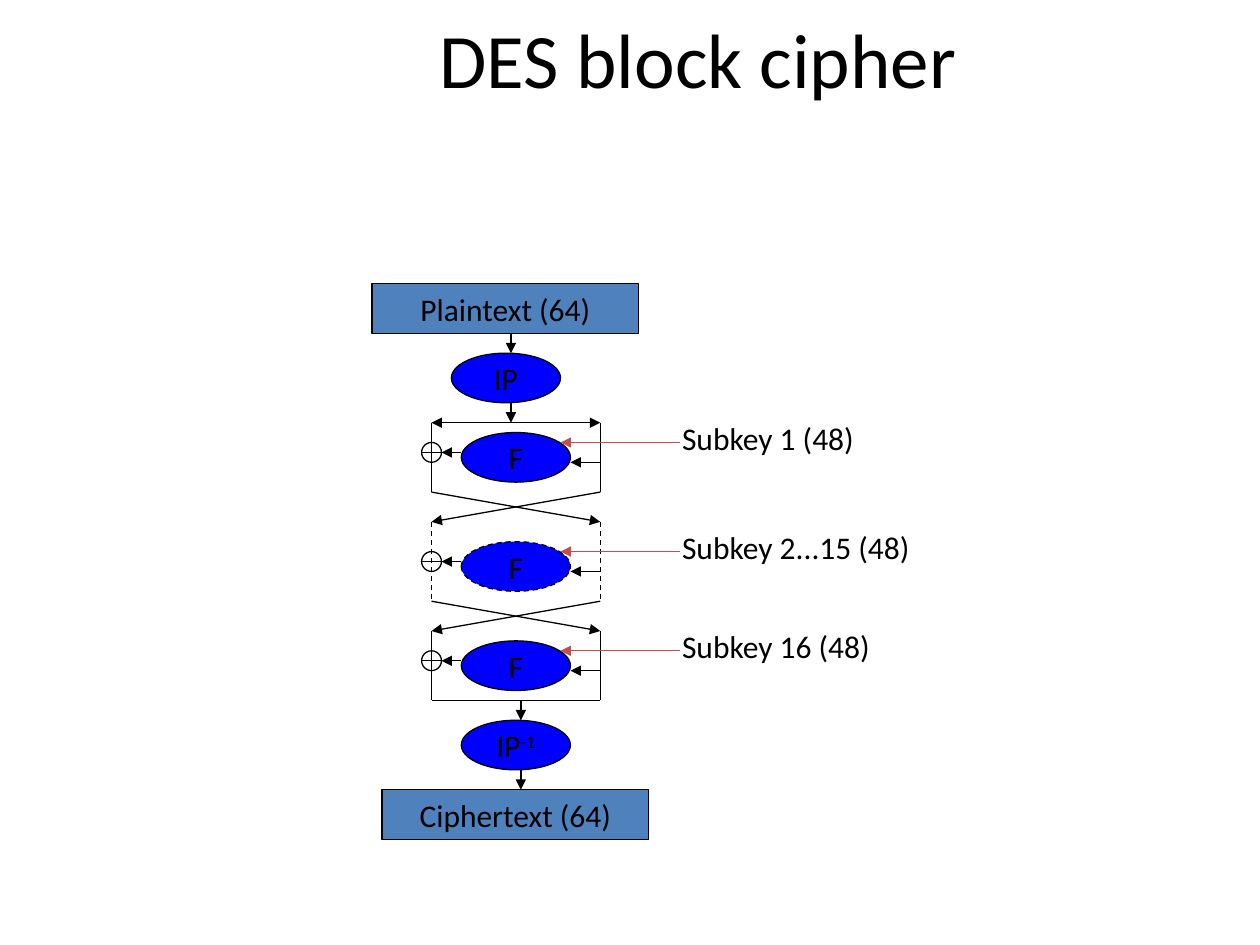
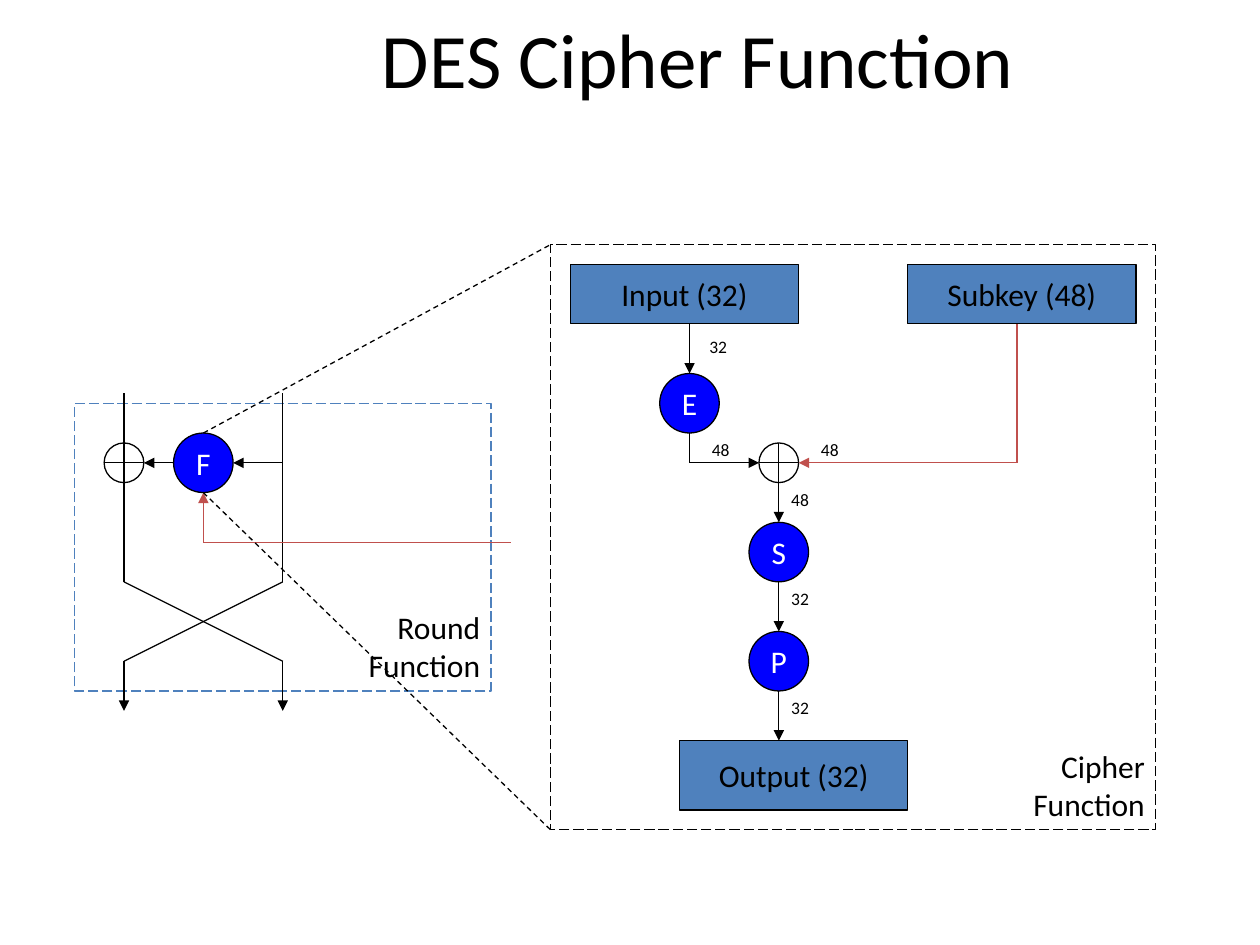
from pptx import Presentation
from pptx.dml.color import RGBColor
from pptx.enum.dml import MSO_LINE
from pptx.enum.shapes import MSO_CONNECTOR, MSO_SHAPE
from pptx.enum.text import MSO_ANCHOR, PP_ALIGN
from pptx.oxml.ns import qn
from pptx.util import Cm, Pt
from lxml import etree

RECT, OVAL = MSO_SHAPE.RECTANGLE, MSO_SHAPE.OVAL
STRAIGHT = MSO_CONNECTOR.STRAIGHT
DASH, LONG_DASH = MSO_LINE.DASH, MSO_LINE.LONG_DASH
LEFT, CENTER, RIGHT = PP_ALIGN.LEFT, PP_ALIGN.CENTER, PP_ALIGN.RIGHT
TOP, MIDDLE = MSO_ANCHOR.TOP, MSO_ANCHOR.MIDDLE

FONT = "Calibri"
BLACK, WHITE, RED = "000000", "FFFFFF", "C0504D"
BOX_BLUE, NODE_BLUE = "4F81BD", "0000FF"

# ---- Content: all positions in cm ----
BLOCK_TITLE = "DES block cipher"
BLOCK_ENDS = [("Plaintext (64)", 7.5, 5.72), ("Ciphertext (64)", 7.7, 15.92)]
PERMUTATIONS = [("IP", 9.1, 7.12), ("IP^-1", 9.3, 14.52)]
BLOCK_FLOW = [(10.3, 6.72), (10.3, 8.12), (10.5, 14.12), (10.5, 15.52)]
# subkey label, top of rails, bottom of rails, top of F, dash
ROUNDS = [
    ("Subkey 1 (48)", 8.52, 9.92, 8.72, None),
    ("Subkey 2...15 (48)", 10.52, 12.12, 10.92, DASH),
    ("Subkey 16 (48)", 12.72, 14.12, 12.92, None),
]
LEFT_RAIL, RIGHT_RAIL = 8.7, 12.1

FUNCTION_TITLE = "DES Cipher Function"
# text, left, top, height
DATA_BOXES = [("Input (32)", 11.5, 5.33, 1.2), ("Subkey (48)", 18.3, 5.33, 1.2),
              ("Output (32)", 13.7, 14.93, 1.4)]
# text, centre x, centre y
NODES = [("F", 4.1, 9.33), ("E", 13.9, 8.13), ("S", 15.7, 11.13), ("P", 15.7, 13.33)]
BIT_COUNTS = [("32", 14.05, 6.65), ("48", 14.1, 8.73), ("48", 16.3, 8.73),
              ("48", 15.7, 9.73), ("32", 15.7, 11.73), ("32", 15.7, 13.93)]
# lines, left, top, width, height, colour
FRAMES = [(["Round", "Function"], 1.5, 8.13, 8.4, 5.8, BOX_BLUE),
          (["Cipher", "Function"], 11.1, 4.93, 12.2, 11.8, BLACK)]
ROUND_RAILS = (2.5, 5.7)
XOR_Y = 9.33
# x1, y1, x2, y2
FUNCTION_ARROWS = [
    (13.9, 6.53, 13.9, 7.53), (13.9, XOR_Y, 15.3, XOR_Y),
    (15.7, 8.93, 15.7, 10.53), (15.7, 11.73, 15.7, 12.73), (15.7, 13.93, 15.7, 14.93),
    (5.7, XOR_Y, 4.7, XOR_Y), (3.5, XOR_Y, 2.9, XOR_Y),
]
ZOOM_LINES = [(4.1, 8.73, 11.1, 4.93), (4.1, 9.93, 11.1, 16.73)]


# ---- Helpers ----
def rgb(value):
    return RGBColor.from_string(value)


def write(tf, text, size=18, color=BLACK, align=LEFT, anchor=TOP, wrap=True):
    """Write one paragraph per item; a caret starts a superscript."""
    tf.word_wrap = wrap
    tf.vertical_anchor = anchor
    for i, line in enumerate([text] if isinstance(text, str) else text):
        p = tf.paragraphs[0] if i == 0 else tf.add_paragraph()
        p.alignment = align
        base, _, raised = line.partition("^")
        for part in filter(None, (base, raised)):
            r = p.add_run()
            r.text = part
            r.font.name, r.font.size = FONT, Pt(size)
            r.font.color.rgb = rgb(color)
        if raised:
            r._r.get_or_add_rPr().set("baseline", "30000")


def label(s, text, x, y, w, h, **fmt):
    sp = s.shapes.add_textbox(Cm(x), Cm(y), Cm(w), Cm(h))
    write(sp.text_frame, text, **fmt)


def shape(s, kind, x, y, w, h, fill=None, text=None, color=BLACK, line=BLACK, dash=None):
    sp = s.shapes.add_shape(kind, Cm(x), Cm(y), Cm(w), Cm(h))
    sp.shadow.inherit = False
    if fill:
        sp.fill.solid()
        sp.fill.fore_color.rgb = rgb(fill)
    else:
        sp.fill.background()
    sp.line.color.rgb = rgb(line)
    sp.line.width = Pt(0.75)
    if dash:
        sp.line.dash_style = dash
    if text:
        write(sp.text_frame, text, color=color, align=CENTER, anchor=MIDDLE, wrap=False)


def connect(s, x1, y1, x2, y2, color=BLACK, dash=None, ends=()):
    """Draw a line; ends names its arrowheads: headEnd (start), tailEnd (finish)."""
    c = s.shapes.add_connector(STRAIGHT, Cm(x1), Cm(y1), Cm(x2), Cm(y2))
    c.line.color.rgb = rgb(color)
    c.line.width = Pt(0.75)
    if dash:
        c.line.dash_style = dash
    ln = c.line._get_or_add_ln()
    for end in ends:
        etree.SubElement(ln, qn("a:" + end)).set("type", "triangle")
    etree.SubElement(c._element.spPr, qn("a:effectLst"))


def arrow(s, *points, color=BLACK):
    connect(s, *points, color=color, ends=["tailEnd"])


def xor(s, cx, cy, radius):
    """Circle with a horizontal bar; the line through it gives the vertical bar."""
    shape(s, OVAL, cx - radius, cy - radius, 2 * radius, 2 * radius)
    connect(s, cx - radius, cy, cx + radius, cy)


def new_slide(prs, title):
    s = prs.slides.add_slide(prs.slide_layouts[6])
    label(s, title, 2.75, 0, 22.65, 2.31, size=44, align=CENTER, anchor=MIDDLE)
    return s


# ---- Slide 1 ----
def block_cipher(prs):
    s = new_slide(prs, BLOCK_TITLE)
    for text, x, y in BLOCK_ENDS:
        shape(s, RECT, x, y, 5.38, 1, BOX_BLUE, text)
    for text, x, y in PERMUTATIONS:
        shape(s, OVAL, x, y, 2.2, 1, NODE_BLUE, text)
    for x, y in BLOCK_FLOW:
        arrow(s, x, y, x, y + 0.4)

    # Split and join of the two halves
    first_top, last_bottom = ROUNDS[0][1], ROUNDS[-1][2]
    connect(s, LEFT_RAIL, first_top, RIGHT_RAIL, first_top, ends=["headEnd", "tailEnd"])
    connect(s, LEFT_RAIL, last_bottom, RIGHT_RAIL, last_bottom)

    for subkey, top, bottom, f_top, dash in ROUNDS:
        for x in (LEFT_RAIL, RIGHT_RAIL):
            connect(s, x, top, x, bottom, dash=dash)
        shape(s, OVAL, 9.3, f_top, 2.2, 1, NODE_BLUE, "F", dash=dash)
        arrow(s, RIGHT_RAIL, f_top + 0.6, 11.5, f_top + 0.6)
        arrow(s, 9.3, f_top + 0.4, 8.9, f_top + 0.4)
        xor(s, LEFT_RAIL, f_top + 0.4, 0.2)
        arrow(s, 13.7, f_top + 0.2, 11.3, f_top + 0.2, color=RED)
        label(s, subkey, 13.5, f_top - 0.4, 6.6, 1.02)

    # Swap of the halves between rounds
    for this_round, next_round in zip(ROUNDS, ROUNDS[1:]):
        bottom, next_top = this_round[2], next_round[1]
        arrow(s, LEFT_RAIL, bottom, RIGHT_RAIL, next_top)
        arrow(s, RIGHT_RAIL, bottom, LEFT_RAIL, next_top)


# ---- Slide 2 ----
def cipher_function(prs):
    s = new_slide(prs, FUNCTION_TITLE)
    for text, x, y, h in DATA_BOXES:
        shape(s, RECT, x, y, 4.6, h, BOX_BLUE, text)
    for text, x, y, w, h, color in FRAMES:
        shape(s, RECT, x, y, w, h, line=color, dash=LONG_DASH)
        label(s, text, x + w - 3.2, y + h - 1.8, 3.23, 1.78, align=RIGHT)

    # Round: two rails that cross, then leave downwards
    left, right = ROUND_RAILS
    for x, other in ((left, right), (right, left)):
        connect(s, x, 7.93, x, 11.73)
        connect(s, x, 11.73, other, 13.33)
        arrow(s, x, 13.33, x, 14.33)

    # Data path
    for points in FUNCTION_ARROWS:
        arrow(s, *points)
    connect(s, 13.9, 8.73, 13.9, XOR_Y)
    for x in (left, 15.7):
        xor(s, x, XOR_Y, 0.4)

    # Subkey path
    connect(s, 10.3, 10.93, 4.1, 10.93, color=RED)
    arrow(s, 4.1, 10.93, 4.1, 9.93, color=RED)
    connect(s, 20.5, 6.53, 20.5, XOR_Y, color=RED)
    arrow(s, 20.5, XOR_Y, 16.1, XOR_Y, color=RED)

    for text, cx, cy in NODES:
        shape(s, OVAL, cx - 0.6, cy - 0.6, 1.2, 1.2, NODE_BLUE, text, color=WHITE)
    for text, x, y in BIT_COUNTS:
        label(s, text, x, y, 0.97, 0.69, size=10)
    for points in ZOOM_LINES:
        connect(s, *points, dash=DASH)


def main():
    prs = Presentation()
    prs.slide_width, prs.slide_height = Cm(25.4), Cm(19.05)
    block_cipher(prs)
    cipher_function(prs)
    prs.save("out.pptx")


if __name__ == "__main__":
    main()
